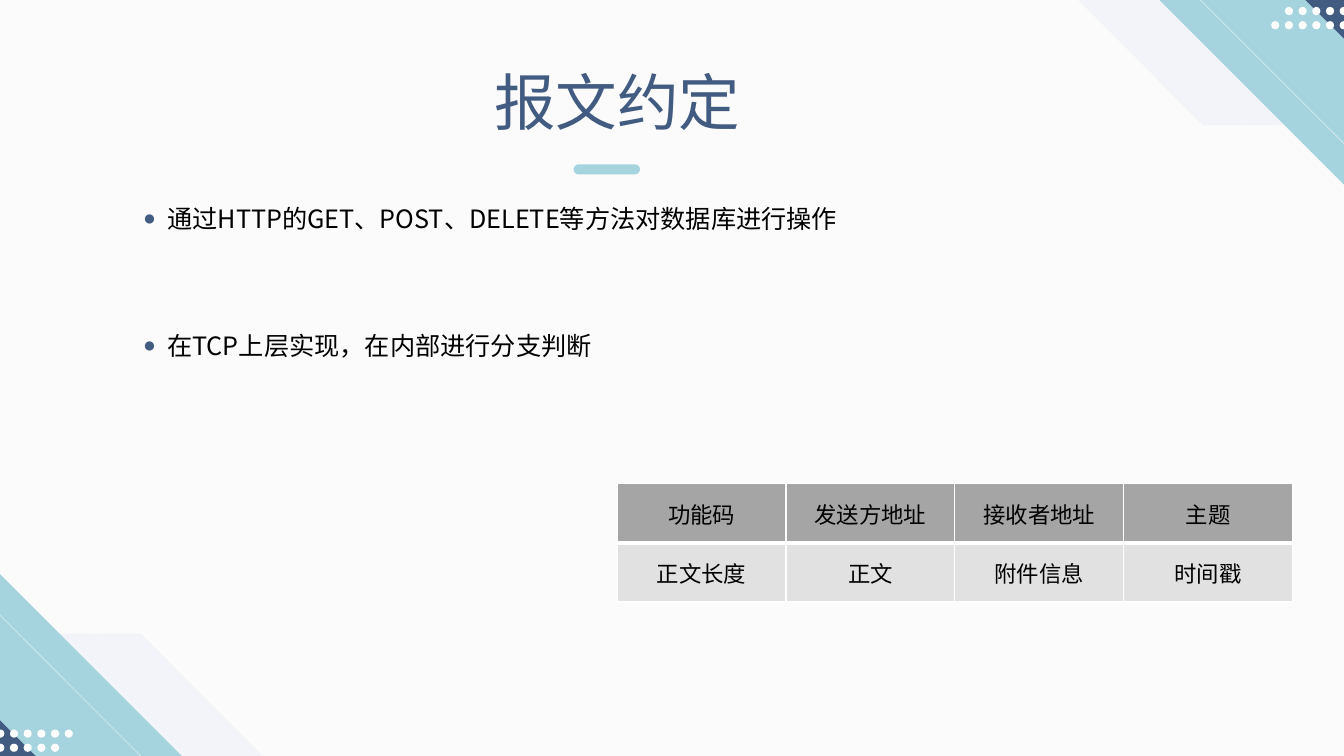
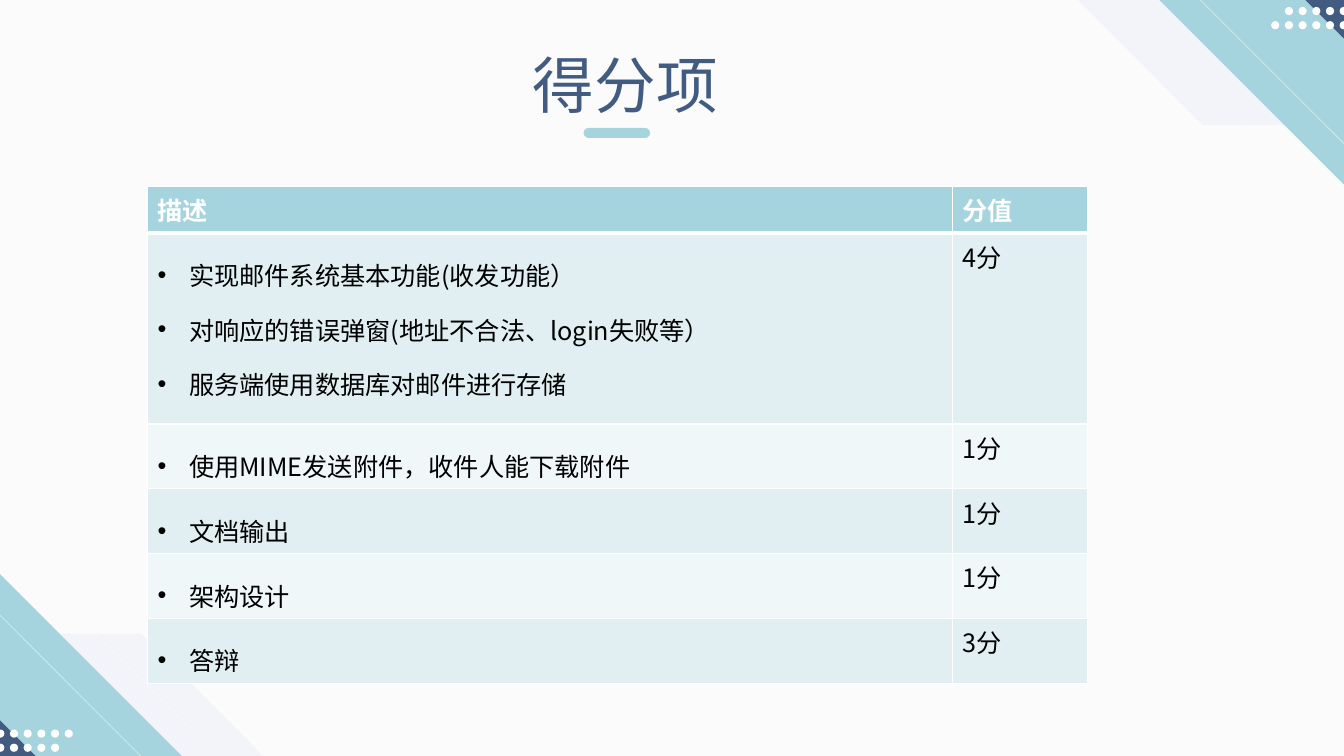
"""Build two slides on the message format and the scoring of a mail system."""
from dataclasses import dataclass
from typing import NamedTuple

from lxml import etree
from pptx import Presentation
from pptx import util as u
from pptx.dml.color import RGBColor
from pptx.enum import shapes, text
from pptx.oxml import ns

Pt = u.Pt
KIND = shapes.MSO_SHAPE
LEFT, MID = text.PP_ALIGN.LEFT, text.PP_ALIGN.CENTER


@dataclass(frozen=True)
class Theme:
    font: str = "Noto Sans CJK SC"
    navy: str = "425C81"
    teal: str = "A5D4DE"
    pale: str = "F3F4F9"
    mist: str = "F2F2F2"
    white: str = "FFFFFF"
    black: str = "000000"
    gray: str = "A5A5A5"
    silver: str = "E1E1E1"
    bands: tuple = ("E1EFF2", "F0F7F9")
    head: float = 44
    body: float = 18
    small: float = 16


class Box(NamedTuple):
    x: float
    y: float
    w: float
    h: float

    def pts(self) -> list:
        return [Pt(side) for side in self]


class Dot(NamedTuple):
    char: str
    left: float
    hang: float
    color: str
    scale: int = 100


class Grid(NamedTuple):
    x: float
    y: float
    cols: list
    rows: list
    fills: list
    pad: tuple


T = Theme()
WIDE, HIGH = 960, 540
BULLET = Dot("●", 41, 17.3, T.navy, 85)
POINT = Dot("•", 22.5, 22.5, T.black)


def add(parent, tag: str, **attrs):
    """Append a DrawingML element."""
    node = etree.SubElement(parent, ns.qn("a:" + tag))
    for key, value in attrs.items():
        node.set(key, str(value))
    return node


def fade(node, part: int) -> None:
    """Set the opacity of the colour inside a node, in percent."""
    add(next(node.iter(ns.qn("a:srgbClr"))), "alpha", val=part * 1000)


def mark(para, dot: Dot) -> None:
    """Give a paragraph a hanging bullet."""
    prop = para._p.get_or_add_pPr()
    prop.set("marL", str(Pt(dot.left)))
    prop.set("indent", str(-Pt(dot.hang)))
    add(add(prop, "buClr"), "srgbClr", val=dot.color)
    add(prop, "buSzPct", val=dot.scale * 1000)
    add(prop, "buFont", typeface="Arial")
    add(prop, "buChar", char=dot.char)


def put(frame, lines: list, size: float = T.body, color: str = T.black,
        bold: bool = False, align=LEFT, dot: Dot | None = None,
        gap: float = 0) -> None:
    """Fill a text frame with formatted paragraphs."""
    frame.word_wrap = True
    for num, line in enumerate(lines):
        para = frame.add_paragraph() if num else frame.paragraphs[0]
        para.alignment = align
        para.space_before = Pt(gap if num else 0)
        if dot:
            para.line_spacing = 1.5
            mark(para, dot)
        run = para.add_run()
        run.text = line
        font = run.font
        font.name, font.size, font.bold = T.font, Pt(size), bold
        font.color.rgb = RGBColor.from_string(color)
        add(run._r.get_or_add_rPr(), "ea", typeface=T.font)


def place(holder, box: Box) -> None:
    """Move a placeholder and keep its text size fixed."""
    holder.left, holder.top, holder.width, holder.height = box.pts()
    holder.text_frame.auto_size = text.MSO_AUTO_SIZE.NONE


def draw(group, kind, box: Box, color: str):
    """Add a plain filled shape."""
    shape = group.add_shape(kind, *box.pts())
    shape.shadow.inherit = False
    shape.fill.solid()
    shape.fill.fore_color.rgb = RGBColor.from_string(color)
    shape.line.fill.background()
    return shape


def streak(group, ends: Box) -> None:
    """Add a thin translucent white line between two points."""
    line = group.add_connector(shapes.MSO_CONNECTOR.STRAIGHT, *ends.pts())
    line.line.width = Pt(0.5)
    line.line.color.rgb = RGBColor.from_string(T.white)
    fade(line.line._ln, 50)
    add(line.element.spPr, "effectLst")


def corner(group, turn: bool) -> None:
    """Draw the top right corner, or its half turn at the bottom left."""
    def spin(box: Box) -> Box:
        return Box(WIDE - box.x - box.w, 542 - box.y - box.h,
                   box.w, box.h) if turn else box

    slant = draw(group, KIND.PARALLELOGRAM,
                 spin(Box(756.5, -13.7, 231, 103)), T.pale)
    slant.adjustments[0] = 0.997
    slant.element.spPr.get_or_add_xfrm().set("flipH", "1")
    for side, color in ((172.8, T.teal), (68.4, T.navy)):
        wedge = draw(group, KIND.RIGHT_TRIANGLE,
                     spin(Box(987.2 - side, -13.7, side, side)), color)
        wedge.rotation = 0 if turn else 180
    for x, y, span in ((843.8, -13.7, 118.8), (823, 20.2, 69.4)):
        box = spin(Box(x, y, span, span))
        streak(group, Box(box.x, box.y, box.x + span, box.y + span))
    for row, count in enumerate((5, 6)):
        for col in range(count):
            draw(group, KIND.OVAL, spin(Box(
                956.9 - 9.78 * col, 5 + 10.1 * row, 5.8, 5.8)), T.white)


def adorn(deck, slide) -> None:
    """Put the shared backdrop and corners on the slide master."""
    group = slide.shapes.add_group_shape()
    back = draw(group.shapes, KIND.RECTANGLE, Box(0, 0, WIDE, HIGH), T.mist)
    fade(back.element.spPr, 30)
    for turn in (False, True):
        corner(group.shapes, turn)
    tree = deck.slide_master.shapes.element
    tree.insert(2, group.element)
    for num, node in enumerate(tree.iter(ns.qn("p:cNvPr")), 1):
        node.set("id", str(num))


def start(deck, layout: int, title: str, x: float, y: float,
          bar: tuple):
    """Add a slide with its title and the bar below it."""
    slide = deck.slides.add_slide(deck.slide_layouts[layout])
    head = slide.shapes.title
    place(head, Box(x, y, 739.4, 60.5))
    head.text_frame.vertical_anchor = text.MSO_ANCHOR.MIDDLE
    put(head.text_frame, [title], size=T.head, color=T.navy, align=MID)
    pill = draw(slide.shapes, KIND.ROUNDED_RECTANGLE,
                Box(*bar, 47.5, 7.2), T.teal)
    pill.adjustments[0] = 0.5
    return slide


def rim(cell, row: int) -> None:
    """Draw white cell borders, thick below the header row."""
    prop = cell._tc.get_or_add_tcPr()
    for side in "LRTB":
        thick = (row, side) in ((0, "B"), (1, "T"))
        line = add(prop, "ln" + side, w=Pt(3 if thick else 1))
        add(add(line, "solidFill"), "srgbClr", val=T.white)


def table(slide, grid: Grid):
    """Add an empty table with fills and borders."""
    size = Box(grid.x, grid.y, sum(grid.cols), sum(grid.rows))
    made = slide.shapes.add_table(
        len(grid.rows), len(grid.cols), *size.pts()).table
    made.horz_banding = False
    for col, wide in zip(made.columns, grid.cols):
        col.width = Pt(wide)
    for num, (row, high) in enumerate(zip(made.rows, grid.rows)):
        row.height = Pt(high)
        for cell in row.cells:
            rim(cell, num)
            cell.fill.solid()
            cell.fill.fore_color.rgb = RGBColor.from_string(grid.fills[num])
            cell.margin_left = cell.margin_right = Pt(grid.pad[0])
            cell.margin_top = cell.margin_bottom = Pt(grid.pad[1])
    return made


def format_slide(deck):
    """Build the slide on the message format."""
    slide = start(deck, 1, "报文约定", 71.3, 41.8, (409.7, 117.4))
    body = slide.placeholders[1]
    place(body, Box(71.3, 130.8, 838.8, 388))
    put(body.text_frame, ["通过HTTP的GET、POST、DELETE等方法对数据库进行操作",
                          "在TCP上层实现，在内部进行分支判断"],
        dot=BULLET, gap=58)
    fields = (("功能码", "发送方地址", "接收者地址", "主题"),
              ("正文长度", "正文", "附件信息", "时间戳"))
    made = table(slide, Grid(440.9, 345.6, [120.6] * 4, [42.2] * 2,
                             [T.gray, T.silver], (0.7, 0.7)))
    for row, names in zip(made.rows, fields):
        for cell, name in zip(row.cells, names):
            cell.vertical_anchor = text.MSO_ANCHOR.MIDDLE
            put(cell.text_frame, [name], size=T.small, align=MID)
    return slide


def score_slide(deck) -> None:
    """Build the slide on the scoring items."""
    slide = start(deck, 5, "得分项", 77, 29.5, (416.9, 91.4))
    items = ((["实现邮件系统基本功能(收发功能）",
               "对响应的错误弹窗(地址不合法、login失败等）",
               "服务端使用数据库对邮件进行存储"], "4分"),
             (["使用MIME发送附件，收件人能下载附件"], "1分"),
             (["文档输出"], "1分"),
             (["架构设计"], "1分"),
             (["答辩"], "3分"))
    fills = [T.teal] + [T.bands[num % 2] for num in range(len(items))]
    made = table(slide, Grid(105.4, 133.2, [575, 96.5],
                             [30, 136.4] + [39.6] * 4, fills, (7.2, 3.6)))
    for cell, name in zip(made.rows[0].cells, ("描述", "分值")):
        put(cell.text_frame, [name], color=T.white, bold=True)
    for num, (lines, score) in enumerate(items, 1):
        put(made.cell(num, 0).text_frame, lines, dot=POINT)
        put(made.cell(num, 1).text_frame, [score])


def main() -> None:
    """Build and save the deck."""
    deck = Presentation()
    deck.slide_width, deck.slide_height = Pt(WIDE), Pt(HIGH)
    adorn(deck, format_slide(deck))
    score_slide(deck)
    deck.save("out.pptx")


if __name__ == "__main__":
    main()
